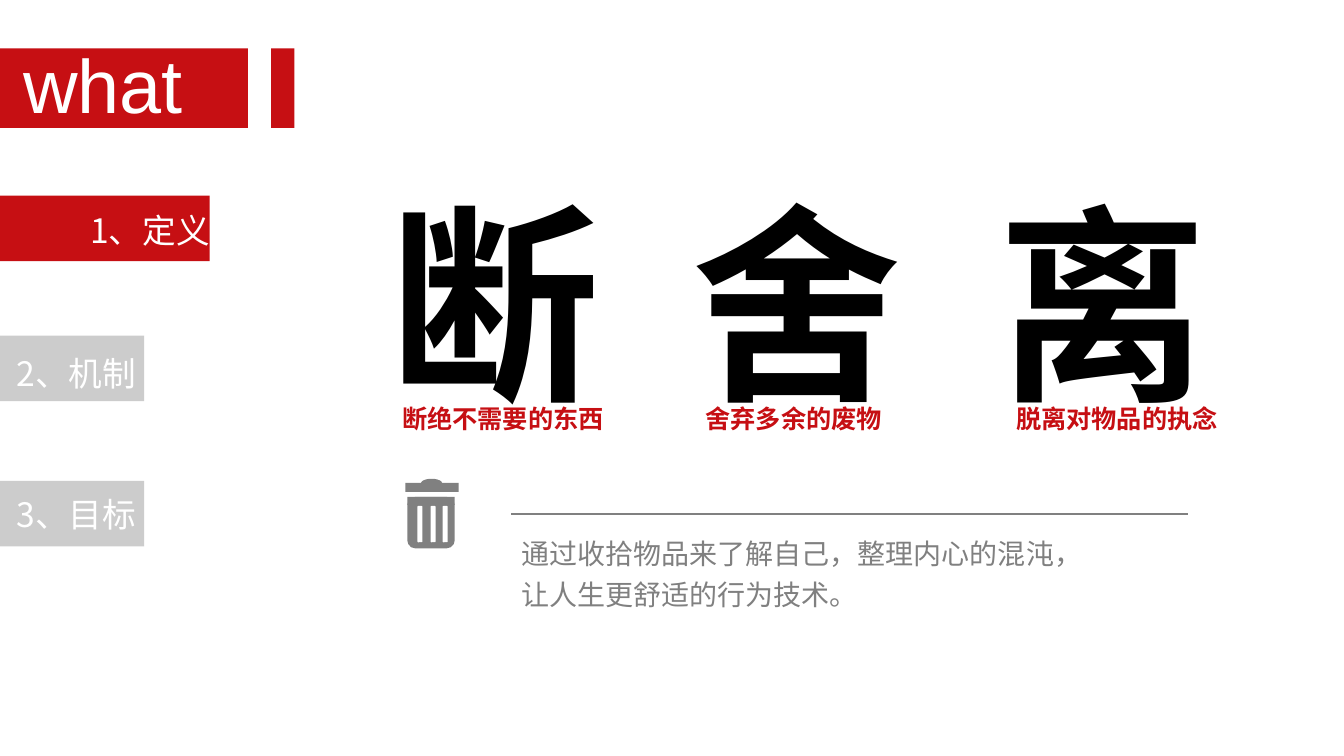
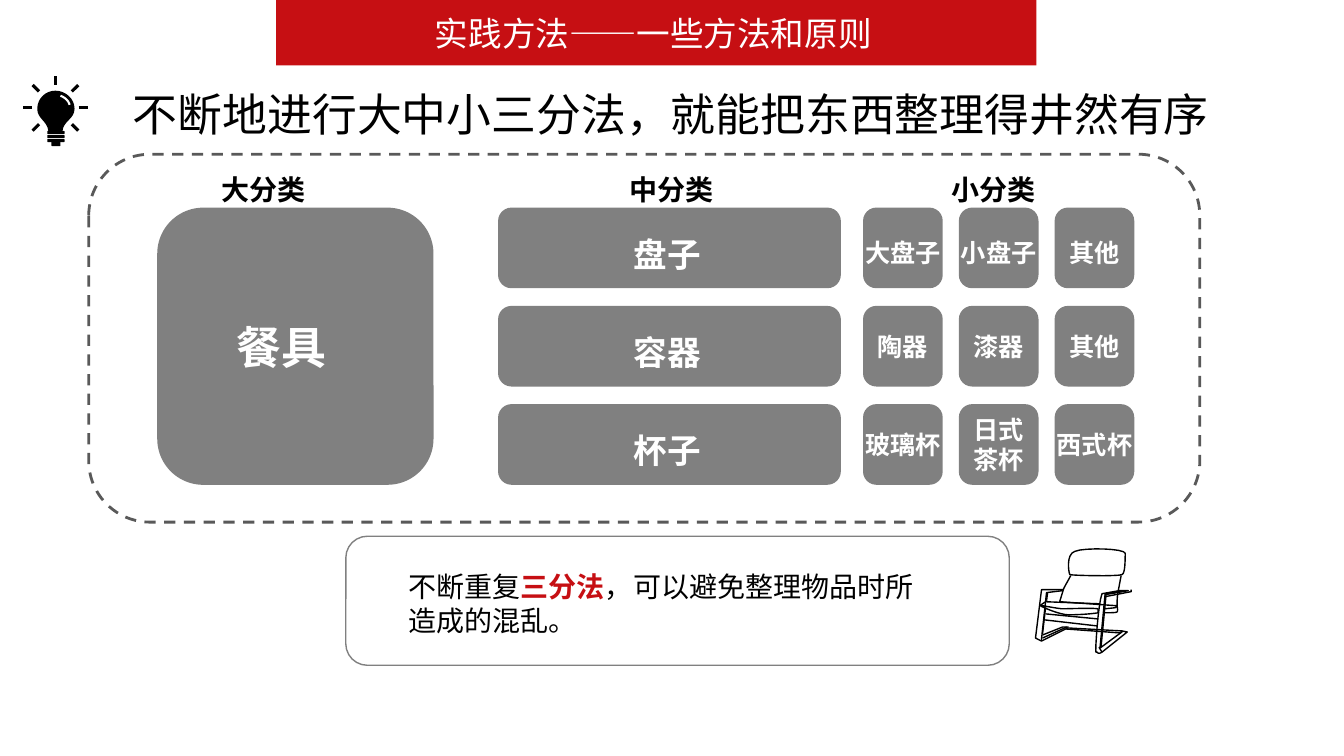
import math

import pptx
import pptx.util
import pptx.dml.color
import pptx.enum.dml
import pptx.enum.shapes
import pptx.enum.text
import pptx.oxml.ns
from lxml import etree

Inches = pptx.util.Inches
Pt = pptx.util.Pt
RGBColor = pptx.dml.color.RGBColor
Shape = pptx.enum.shapes.MSO_SHAPE
Align = pptx.enum.text.PP_ALIGN
Anchor = pptx.enum.text.MSO_ANCHOR
qn = pptx.oxml.ns.qn

RED = RGBColor(0xC6, 0x0F, 0x13)
GRAY = RGBColor(0x80, 0x80, 0x80)
LIGHT = RGBColor(0xCC, 0xCC, 0xCC)
DARK = RGBColor(0x59, 0x59, 0x59)
BLACK = RGBColor(0, 0, 0)
WHITE = RGBColor(0xFF, 0xFF, 0xFF)
CJK = "Noto Sans CJK SC"

CHAIR_BACK = [(10.66, 5.47), (10.57, 5.5, 10.6, 5.68, 10.61, 5.7),
              (10.62, 5.71, 11.1, 5.72, 11.13, 5.7),
              (11.16, 5.69, 11.16, 5.54, 11.16, 5.49),
              (11.16, 5.44, 10.75, 5.43, 10.66, 5.47)]
CHAIR_SEAT = [(10.32, 6.01), (10.33, 6.02, 10.51, 6.1, 10.6, 6.1),
              (10.69, 6.1, 10.84, 6.09, 10.89, 6.08), (10.89, 6.04),
              (10.83, 6.03, 10.63, 6.04, 10.53, 6.04),
              (10.44, 6.03, 10.31, 6, 10.32, 6.01)]
CHAIR_STROKES = [
    [(10.62, 5.71), (10.6, 5.75, 10.57, 5.8, 10.55, 5.84), (10.51, 5.97),
     (11.08, 6.01), (11.08, 5.97, 11.08, 5.92, 11.09, 5.87), (11.12, 5.71)],
    [(10.54, 5.86), (10.38, 5.88), (10.33, 6.34), (10.33, 6.36)],
    [(10.34, 6.3), (10.54, 6.22), (10.6, 6.22)],
    [(10.97, 5.9), (10.92, 6.42)],
    [(10.96, 5.92), (11.22, 5.87), (11.22, 5.85)],
    [(10.57, 6.24), (11.12, 6.28)],
    [(10.34, 6.33), (10.58, 6.22)],
    [(10.36, 6.15), (10.88, 6.21)],
    [(10.37, 6.09), (10.89, 6.14)],
    [(10.31, 6.01), (10.37, 5.97), (10.9, 5.99)],
    [(10.95, 6.08), (11, 6.08, 11.08, 6.08, 11.08, 6.07),
     (11.09, 6.06, 11.08, 6.02, 11.08, 6.01), (11.06, 6.03), (10.96, 6.04)],
    [(10.55, 5.85), (10.33, 5.85), (10.27, 6.33), (10.33, 6.36), (10.59, 6.23),
     (11.14, 6.26), (10.91, 6.43), (10.96, 5.9), (11.19, 5.86), (11.1, 5.86),
     (10.93, 5.89), (10.89, 5.99, 10.86, 6.48, 10.87, 6.47),
     (10.89, 6.46, 10.88, 6.5, 10.93, 6.47), (11.18, 6.27), (11.13, 6.26)],
    [(10.34, 6.29), (10.37, 6.03)],
    [(10.38, 5.96), (10.39, 5.88)],
    [(10.93, 6.47), (10.9, 6.42)],
]
BULB = [(0.48, 1.3), (0.62, 1.3), (0.63, 1.2, 0.74, 1.18, 0.74, 1.08),
        (0.74, 0.98, 0.65, 0.9, 0.55, 0.9), (0.45, 0.9, 0.37, 0.98, 0.37, 1.08),
        (0.37, 1.18, 0.47, 1.2, 0.48, 1.3)]
BULB_SHINE = [(0.6, 0.95), (0.65, 0.97, 0.68, 1, 0.69, 1.04)]


def add_run(p, text, size=18, color=BLACK, bold=False, font=CJK):
    r = p.add_run()
    r.text = text
    r.font.size = Pt(size)
    r.font.bold = bold
    r.font.color.rgb = color
    r.font.name = font
    etree.SubElement(r.font._element, qn("a:ea")).set("typeface", CJK)


def paint(sp, fill=None, line=None, width=1):
    sp.shadow.inherit = False
    if fill is None:
        sp.fill.background()
    else:
        sp.fill.solid()
        sp.fill.fore_color.rgb = fill
    if line is None:
        sp.line.fill.background()
    else:
        sp.line.color.rgb = line
        sp.line.width = Pt(width)
    return sp


def add_block(s, x, y, w, h, fill=None, kind=Shape.RECTANGLE, **line):
    sp = s.shapes.add_shape(kind, Inches(x), Inches(y), Inches(w), Inches(h))
    return paint(sp, fill, **line)


def write_inside(sp, text, align=Align.CENTER, insets=(0, 0, 0, 0), wrap=True,
                 **fmt):
    tf = sp.text_frame
    tf.word_wrap = wrap
    tf.vertical_anchor = Anchor.MIDDLE
    tf.margin_left, tf.margin_top, tf.margin_right, tf.margin_bottom = map(
        Inches, insets)
    p = tf.paragraphs[0]
    p.alignment = align
    add_run(p, text, **fmt)
    return p


def add_text(s, x, y, w, h, text, spacing=None, **fmt):
    tf = s.shapes.add_textbox(Inches(x), Inches(y), Inches(w), Inches(h)).text_frame
    tf.word_wrap = True
    p = tf.paragraphs[0]
    p.line_spacing = spacing
    add_run(p, text, **fmt)


def add_line(s, x1, y1, x2, y2, color, width):
    ln = s.shapes.add_connector(pptx.enum.shapes.MSO_CONNECTOR.STRAIGHT,
                                Inches(x1), Inches(y1), Inches(x2), Inches(y2))
    ln.line.color.rgb = color
    ln.line.width = Pt(width)
    etree.SubElement(ln._element.spPr, qn("a:effectLst"))


def trace(steps, samples=8):
    points = [steps[0]]
    for step in steps[1:]:
        if len(step) == 2:
            points.append(step)
            continue
        corners = [points[-1], step[:2], step[2:4], step[4:]]
        for i in range(1, samples + 1):
            t = i / samples
            weights = [math.comb(3, k) * t**k * (1 - t)**(3 - k) for k in range(4)]
            points.append(tuple(sum(w * c[axis] for w, c in zip(weights, corners))
                                for axis in (0, 1)))
    return [(Inches(x), Inches(y)) for x, y in points]


def add_outline(s, steps, close=False, **look):
    points = trace(steps)
    fb = s.shapes.build_freeform(*points[0])
    fb.add_line_segments(points[1:], close=close)
    return paint(fb.convert_to_shape(), **look)


def add_trash_can(s):
    g = s.shapes.add_group_shape()
    add_block(g, 4.02, 4.79, 0.53, 0.09, GRAY)
    add_block(g, 4.17, 4.75, 0.22, 0.1, GRAY, Shape.OVAL)
    add_block(g, 4.04, 4.93, 0.47, 0.51, GRAY, Shape.ROUNDED_RECTANGLE)
    add_block(g, 4.04, 4.93, 0.47, 0.08, GRAY)
    for x in (4.14, 4.27, 4.39):
        add_block(g, x, 5.02, 0.05, 0.36, WHITE, Shape.ROUNDED_RECTANGLE)


def add_bulb(s):
    g = s.shapes.add_group_shape()
    add_outline(g, BULB, close=True, fill=BLACK)
    add_outline(g, BULB_SHINE, line=WHITE, width=1.5)
    for x, y, w, h in ((0.47, 1.3, 0.17, 0.03), (0.47, 1.34, 0.17, 0.03),
                       (0.47, 1.38, 0.17, 0.03), (0.51, 1.4, 0.09, 0.05)):
        add_block(g, x, y, w, h, BLACK, Shape.ROUNDED_RECTANGLE)
    for degrees in range(-225, 46, 45):
        dx, dy = math.cos(math.radians(degrees)), math.sin(math.radians(degrees))
        add_line(g, 0.55 + 0.23 * dx, 1.07 + 0.23 * dy,
                 0.55 + 0.32 * dx, 1.07 + 0.32 * dy, BLACK, 2.25)


def add_chair(s):
    g = s.shapes.add_group_shape()
    add_outline(g, CHAIR_BACK, close=True, fill=WHITE, line=BLACK)
    add_outline(g, CHAIR_SEAT, close=True, fill=WHITE, line=BLACK)
    for stroke in CHAIR_STROKES:
        add_outline(g, stroke, line=BLACK)


def build_definition(s):
    title = add_block(s, 0, 0.48, 2.46, 0.79, RED)
    write_inside(title, "what", Align.LEFT, (0.23, 0, 0, 0.1), size=54,
                 color=WHITE, font="Arial")
    add_block(s, 2.69, 0.48, 0.23, 0.79, RED)

    for text, y, w, fill, right, top in (("1、定义", 1.94, 2.08, RED, 0, 0.04),
                                         ("2、机制", 3.33, 1.43, LIGHT, 0.08, 0.1),
                                         ("3、目标", 4.77, 1.43, LIGHT, 0.08, 0)):
        write_inside(add_block(s, 0, y, w, 0.65, fill), text, Align.RIGHT,
                     (0, top, right, 0), size=24, color=WHITE)

    for char, x, caption, caption_x in (("断", 3.76, "断绝不需要的东西", 3.89),
                                        ("舍", 6.77, "舍弃多余的废物", 6.9),
                                        ("离", 9.79, "脱离对物品的执念", 9.98)):
        add_text(s, x, 1.68, 2.62, 2.63, char, size=150, bold=True)
        add_text(s, caption_x, 3.95, 2.36, 0.4, caption, color=RED, bold=True)

    add_trash_can(s)
    add_line(s, 5.07, 5.1, 11.78, 5.1, GRAY, 1)
    add_text(s, 5.07, 5.21, 5.92, 1.31,
             "通过收拾物品来了解自己，整理内心的混沌，让人生更舒适的行为技术。",
             spacing=1.2, size=20, color=GRAY)


def add_category(s, x, y, w, h, text, **fmt):
    sp = add_block(s, x, y, w, h, GRAY, Shape.ROUNDED_RECTANGLE)
    write_inside(sp, text, color=WHITE, bold=True, font="Calibri", **fmt)


def build_method(s):
    write_inside(add_block(s, 2.74, 0, 7.54, 0.65, RED),
                 "实践方法——一些方法和原则", insets=(0, 0, 0.06, 0), size=24, color=WHITE)
    add_bulb(s)
    add_text(s, 1.22, 0.81, 10.9, 0.64,
             "不断地进行大中小三分法，就能把东西整理得井然有序", size=32)

    frame = add_block(s, 0.88, 1.53, 11.02, 3.65, kind=Shape.ROUNDED_RECTANGLE,
                      line=DARK, width=2)
    frame.line.dash_style = pptx.enum.dml.MSO_LINE.DASH
    for text, x in (("大分类", 2.1), ("中分类", 6.14), ("小分类", 9.34)):
        add_text(s, x, 1.66, 1.48, 0.44, text, size=20, bold=True, font="Calibri")

    add_category(s, 1.56, 2.06, 2.74, 2.75, "餐具", insets=(0, 0, 0.28, 0), size=32)
    rows = (("盘子", ("大盘子", "小盘子", "其他")),
            ("容器", ("陶器", "漆器", "其他")),
            ("杯子", ("玻璃杯", "日式茶杯", "西式杯")))
    for i, (middle, smalls) in enumerate(rows):
        y = 2.06 + 0.975 * i
        add_category(s, 4.94, y, 3.4, 0.8, middle, insets=(0, 0.12, 0.04, 0), size=24)
        for j, small in enumerate(smalls):
            add_category(s, 8.56 + 0.95 * j, y, 0.79, 0.8, small,
                         insets=(0, 0.08 if i == 0 else 0, 0, 0),
                         wrap=len(small) > 3)

    note = add_block(s, 3.43, 5.32, 6.58, 1.28, kind=Shape.ROUNDED_RECTANGLE,
                     line=GRAY)
    p = write_inside(note, "不断重复", Align.LEFT, (0.56, 0.05, 0.85, 0), size=20)
    add_run(p, "三分法", size=20, color=RED, bold=True)
    add_run(p, "，可以避免整理物品时所造成的混乱。", size=20)
    add_chair(s)


def main():
    prs = pptx.Presentation()
    prs.slide_width = Inches(13.33)
    prs.slide_height = Inches(7.5)
    for build in (build_definition, build_method):
        build(prs.slides.add_slide(prs.slide_layouts[6]))
    prs.save("out.pptx")


if __name__ == "__main__":
    main()
